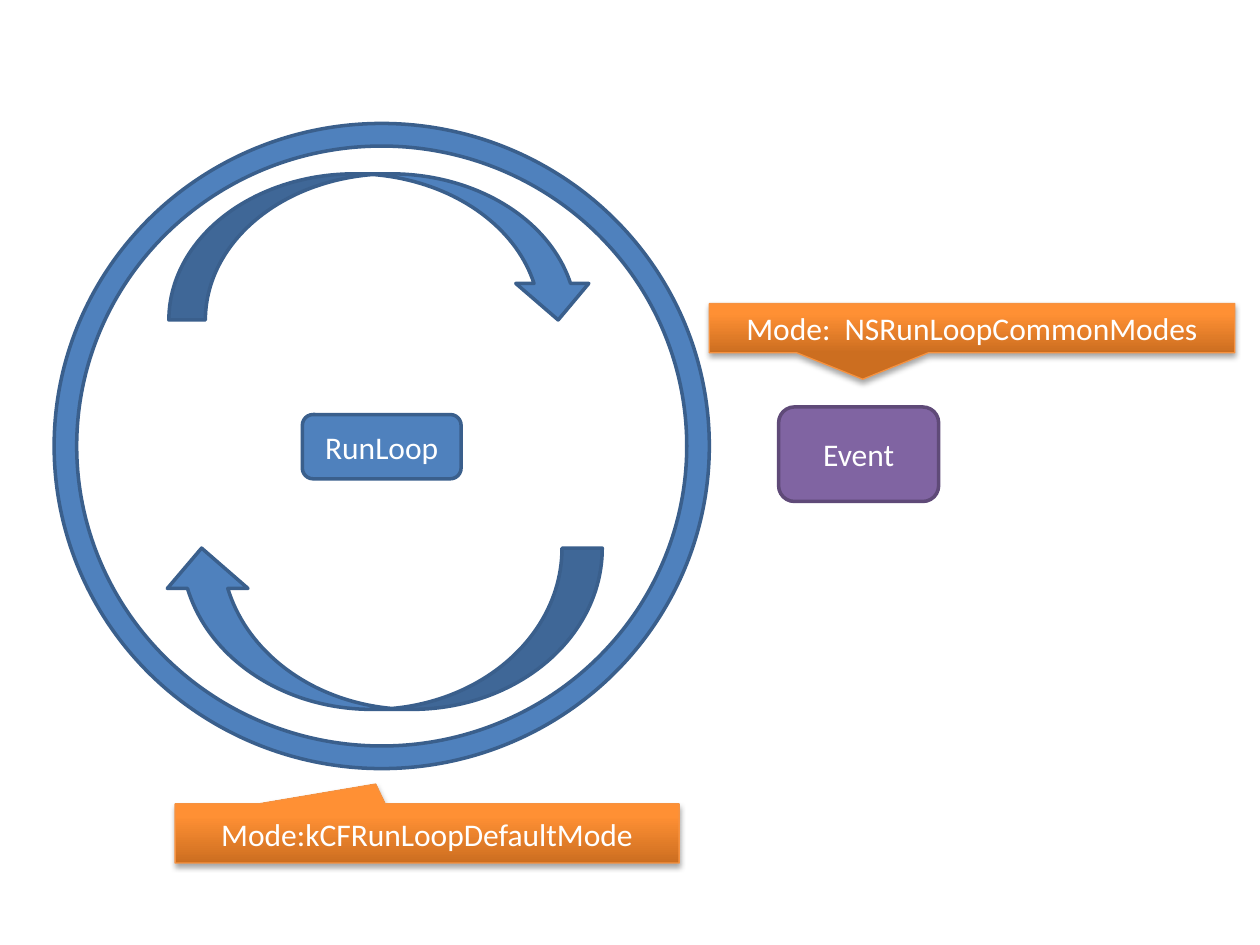
from copy import deepcopy
from dataclasses import dataclass

from lxml.etree import SubElement
from pptx import Presentation
from pptx.dml.color import RGBColor
from pptx.enum.shapes import MSO_SHAPE as Preset
from pptx.enum.text import MSO_ANCHOR as Anchor, PP_ALIGN as Align
from pptx.oxml.ns import qn
from pptx.util import Pt

COLOURS = {
    "blue": "4F81BD",
    "blue_line": "3A5F8C",
    "purple": "8064A2",
    "purple_line": "5F4A78",
    "orange_line": "F69240",
    "white": "FFFFFF",
    "shadow": "000000",
}
ORANGE_GRADIENT = ((0, "CC6E20"), (0.8, "FF9034"), (1, "FF9136"))
FONT = "Calibri"
TEXT_SIZE = 18


@dataclass
class Figure:
    """A preset shape; lengths are points, and no fill means the orange gradient."""
    preset: Preset
    left: float
    top: float
    width: float
    height: float
    fill: str | None = "blue"
    line: str = "blue_line"
    line_width: float = 2
    adjustments: tuple[float, ...] = ()
    rotation: float = 0
    text: str = ""


def callout(left: float, top: float, width: float, height: float,
            tip: tuple[float, float], text: str) -> Figure:
    """Describe a mode label; tip is its offset from the centre in widths and heights."""
    return Figure(Preset.RECTANGULAR_CALLOUT, left, top, width, height, None,
                  "orange_line", 0.75, tip, text=text)


FIGURES = (
    Figure(Preset.DONUT, 30.96, 70.56, 374.4, 368.64, adjustments=(0.035,)),
    Figure(Preset.ROUNDED_RECTANGLE, 444.96, 232.56, 91.44, 54,
           "purple", "purple_line", text="Event"),
    callout(405.36, 173.52, 300.24, 28.08, (-0.208, 1.037),
            "Mode:  NSRunLoopCommonModes"),
    callout(100.08, 459.36, 288, 33.84, (-0.102, -0.834),
            "Mode:kCFRunLoopDefaultMode"),
    Figure(Preset.CURVED_DOWN_ARROW, 92.16, 313.2, 252, 92.16, rotation=180),
    Figure(Preset.CURVED_DOWN_ARROW, 96.48, 99.36, 243.36, 83.52),
    Figure(Preset.ROUNDED_RECTANGLE, 172.8, 236.88, 90.72, 36.72, text="RunLoop"),
)


def rgb(name: str) -> RGBColor:
    return RGBColor.from_string(COLOURS[name])


def fill_with_gradient(shape) -> None:
    shape.fill.gradient()
    shape.fill.gradient_angle = 90
    stop_list = shape._element.spPr.find(".//" + qn("a:gsLst"))
    stop_list.append(deepcopy(stop_list[-1]))
    for stop, (position, colour) in zip(shape.fill.gradient_stops, ORANGE_GRADIENT):
        stop.position = position
        stop.color.rgb = RGBColor.from_string(colour)


def add_soft_shadow(shape) -> None:
    effects = shape._element.spPr.find(qn("a:effectLst"))
    shadow = SubElement(effects, qn("a:outerShdw"), blurRad=str(Pt(3.1)),
                        dist=str(Pt(1.8)), dir="5400000", rotWithShape="0")
    colour = SubElement(shadow, qn("a:srgbClr"), val=COLOURS["shadow"])
    SubElement(colour, qn("a:alpha"), val="35000")


def write_text(shape, text: str) -> None:
    frame = shape.text_frame
    frame.word_wrap = True
    frame.vertical_anchor = Anchor.MIDDLE
    paragraph = frame.paragraphs[0]
    paragraph.alignment = Align.CENTER
    run = paragraph.add_run()
    run.text = text
    run.font.name = FONT
    run.font.size = Pt(TEXT_SIZE)
    run.font.color.rgb = rgb("white")


def draw_figure(slide, figure: Figure) -> None:
    shape = slide.shapes.add_shape(figure.preset, Pt(figure.left), Pt(figure.top),
                                   Pt(figure.width), Pt(figure.height))
    shape.rotation = figure.rotation
    for index, value in enumerate(figure.adjustments):
        shape.adjustments[index] = value
    shape.line.color.rgb = rgb(figure.line)
    shape.line.width = Pt(figure.line_width)
    shape.shadow.inherit = False
    if figure.fill:
        shape.fill.solid()
        shape.fill.fore_color.rgb = rgb(figure.fill)
    else:
        fill_with_gradient(shape)
        add_soft_shadow(shape)
    if figure.text:
        write_text(shape, figure.text)


def main() -> None:
    presentation = Presentation()
    presentation.slide_width = Pt(720)
    presentation.slide_height = Pt(540)
    slide = presentation.slides.add_slide(presentation.slide_layouts[6])
    for figure in FIGURES:
        draw_figure(slide, figure)
    presentation.save("out.pptx")


if __name__ == "__main__":
    main()
